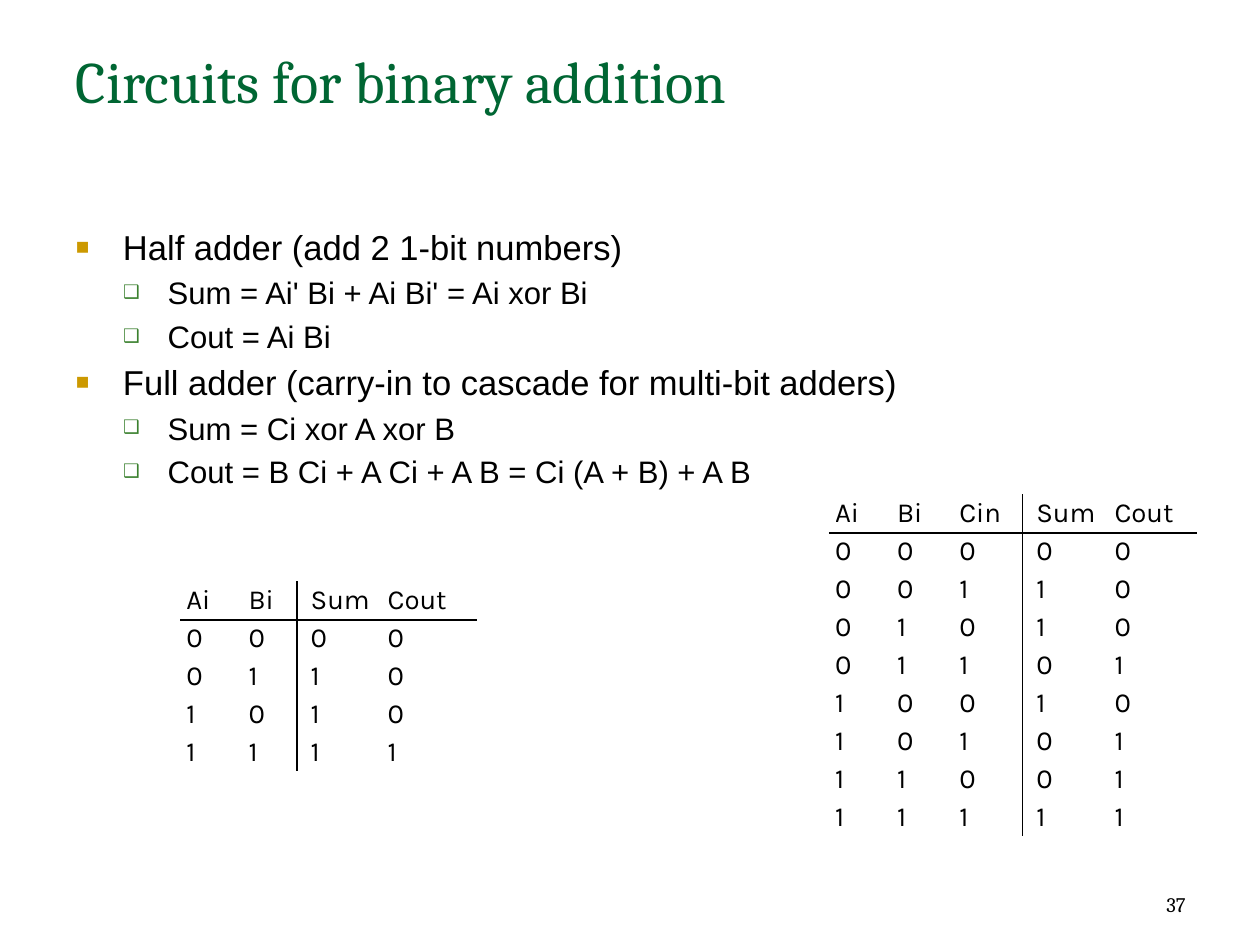
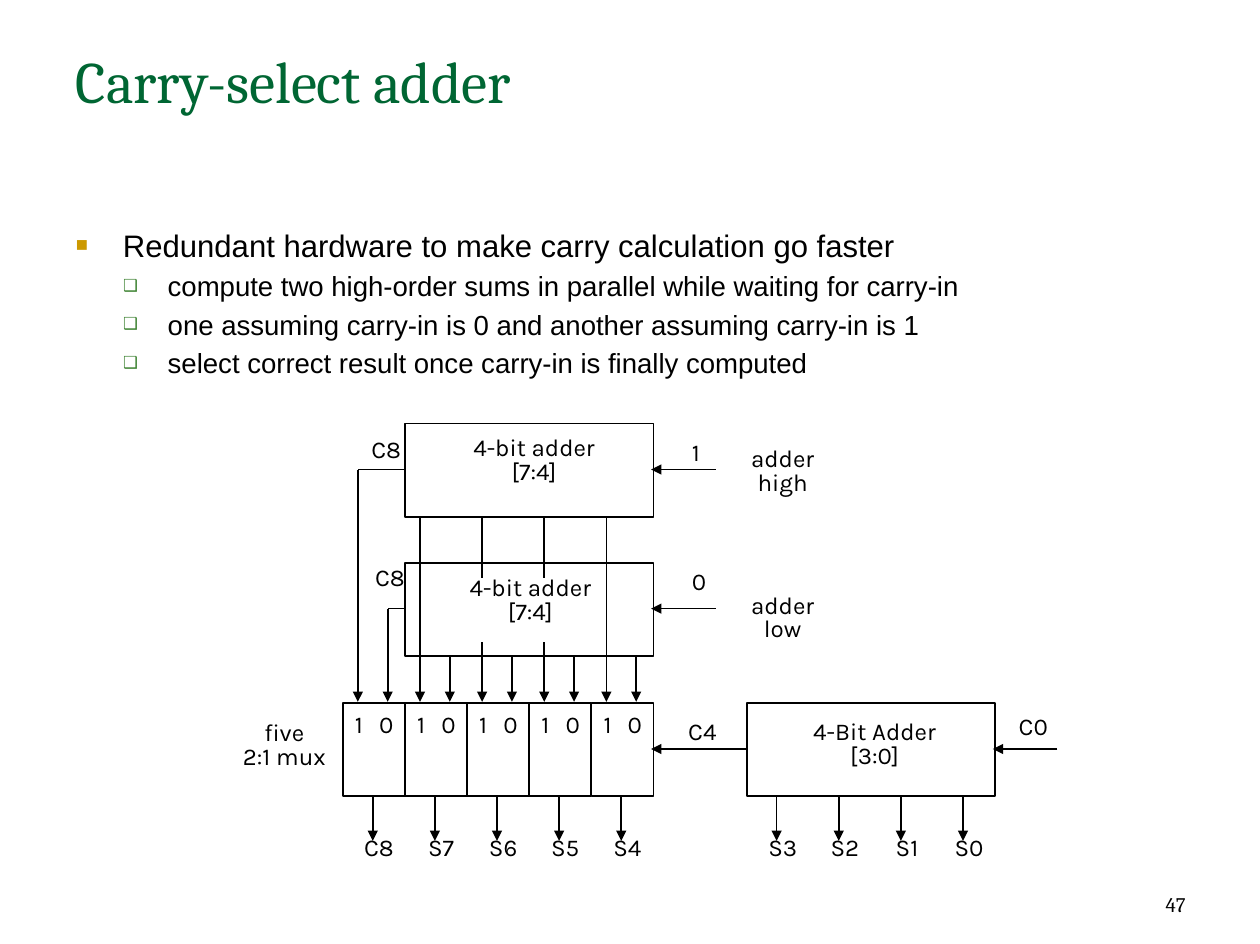
from lxml import etree
from pptx import Presentation
from pptx.dml.color import RGBColor
from pptx.enum import shapes, text
from pptx.oxml import ns
from pptx.util import Inches, Pt

BLACK, WHITE, GREEN = "000000", "FFFFFF", "006633"
HEAD, BODY, MONO = "Cambria", "Arial", "Karla"
# Per level: indent, hanging width, bullet, its colour, its size in percent
LEVELS = [(0.38, 0.38, "\u25a0", "CC9900", 65),
          (0.74, 0.36, "\u2751", "3B812F", 60)]
LEFT, MID, RIGHT = text.PP_ALIGN.LEFT, text.PP_ALIGN.CENTER, text.PP_ALIGN.RIGHT
TOP, LOW = text.MSO_ANCHOR.TOP, text.MSO_ANCHOR.BOTTOM

# Title, page number, sizes per level, list of (level, text)
ADDERS = ("Circuits for binary addition", "37", (20, 18), [
    (0, "Half adder (add 2 1-bit numbers)"),
    (1, "Sum = Ai' Bi + Ai Bi' = Ai xor Bi"),
    (1, "Cout = Ai Bi"),
    (0, "Full adder (carry-in to cascade for multi-bit adders)"),
    (1, "Sum = Ci xor A xor B"),
    (1, "Cout = B Ci + A Ci + A B = Ci (A + B) + A B")])
SELECT = ("Carry-select adder", "47", (18, 16), [
    (0, "Redundant hardware to make carry calculation go faster"),
    (1, "compute two high-order sums in parallel while waiting for carry-in"),
    (1, "one assuming carry-in is 0 and another assuming carry-in is 1"),
    (1, "select correct result once carry-in is finally computed")])

# Truth tables: left, top, column widths, inputs, rows
HALF = (1.5, 4.66, (0.5, 0.5, 0.62, 0.72), 2,
        ["Ai Bi Sum Cout", "0 0 0 0", "0 1 1 0", "1 0 1 0", "1 1 1 1"])
FULL = (6.72, 3.96, (0.5, 0.5, 0.62, 0.63, 0.66), 3,
        ["Ai Bi Cin Sum Cout", "0 0 0 0 0", "0 0 1 1 0", "0 1 0 1 0",
         "0 1 1 0 1", "1 0 0 1 0", "1 0 1 0 1", "1 1 0 0 1", "1 1 1 1 1"])
ROW = 22 / 72

# Carry-select diagram
STEP, WIDE, TALL = 0.5, 2, 0.75
MUX, CHIP, FIRST = 2.76, 3.26, 6.01
HIGH, DOWN, BASE = 3.41, 4.53, 5.66
TIP, END = 5.65, 6.77
MUXOUT = ["C8", "S7", "S6", "S5", "S4"]
SUMOUT = ["S3", "S2", "S1", "S0"]
# Left, top, width, text
NOTES = [(8.1, 5.74, 0.39, "C0"), (5.44, 5.78, 0.39, "C4"),
         (5.47, 3.53, 0.26, "1"), (5.47, 4.57, 0.26, "0"),
         (2.89, 3.51, 0.39, "C8"), (2.92, 4.54, 0.39, "C8")]
# Centre, top, text
NAMES = [(7.04, 5.78, "4-Bit Adder\n[3:0]"), (4.3, 3.49, "4-bit adder\n[7:4]"),
         (4.27, 4.62, "4-bit adder\n[7:4]"), (2.29, 5.79, "five\n2:1 mux"),
         (6.3, 4.76, "adder\nlow"), (6.3, 3.58, "adder\nhigh")]


def paint(code):
    """Turn a hex string into a colour."""
    return RGBColor.from_string(code)


def write(par, words, size, face, hue=BLACK):
    """Add words to a paragraph, one run for each line."""
    for row, line in enumerate(words.split("\n")):
        if row:
            par.add_line_break()
        run = par.add_run()
        run.text = line
        run.font.size, run.font.name = Pt(size), face
        run.font.color.rgb = paint(hue)


def place(shape, left, top, width, height):
    """Move and size a shape."""
    shape.left, shape.top = Inches(left), Inches(top)
    shape.width, shape.height = Inches(width), Inches(height)


def setup(shape, anchor=TOP, wrap=True, pads=(0.1, 0.05, 0.1, 0.05)):
    """Set the frame of a text shape and return it."""
    frame = shape.text_frame
    frame.auto_size = text.MSO_AUTO_SIZE.NONE
    frame.word_wrap, frame.vertical_anchor = wrap, anchor
    (frame.margin_left, frame.margin_top,
     frame.margin_right, frame.margin_bottom) = map(Inches, pads)
    return frame


def bullet(par, level):
    """Give a paragraph the indent and bullet of its level."""
    indent, hang, char, hue, size = LEVELS[level]
    par.level = level
    props = par._p.get_or_add_pPr()
    props.set("marL", str(Inches(indent)))
    props.set("indent", str(-Inches(hang)))
    tone = etree.SubElement(props, ns.qn("a:buClr"))
    etree.SubElement(tone, ns.qn("a:srgbClr"), val=hue)
    etree.SubElement(props, ns.qn("a:buSzPct"), val=str(size * 1000))
    etree.SubElement(props, ns.qn("a:buFont"), typeface=BODY)
    etree.SubElement(props, ns.qn("a:buChar"), char=char)


def page(deck, title, number, sizes, items):
    """Add a slide with title, list and page number."""
    slide = deck.slides.add_slide(deck.slide_layouts[1])
    head, body = slide.placeholders
    place(head, 0.51, 0.31, 9.12, 1.26)
    par = setup(head).paragraphs[0]
    par.alignment = LEFT
    write(par, title, 34, HEAD, GREEN)
    place(body, 0.51, 1.77, 9.12, 5.02)
    frame = setup(body)
    for row, (level, words) in enumerate(items):
        par = frame.add_paragraph() if row else frame.paragraphs[0]
        bullet(par, level)
        write(par, words, sizes[level], BODY)
    foot = slide.shapes.add_textbox(0, 0, 0, 0)
    place(foot, 7.27, 6.92, 2.37, 0.51)
    par = setup(foot, LOW).paragraphs[0]
    par.alignment = RIGHT
    write(par, number, 12, HEAD)
    return slide


def wire(slide, x1, y1, x2, y2, arrow=False):
    """Draw a thin line, with an arrowhead at its end if asked."""
    line = slide.shapes.add_connector(
        shapes.MSO_CONNECTOR.STRAIGHT, *map(Inches, (x1, y1, x2, y2)))
    line.line.color.rgb, line.line.width = paint(BLACK), Pt(1)
    if arrow:
        etree.SubElement(line.line._get_or_add_ln(), ns.qn("a:tailEnd"),
                         type="triangle")
    etree.SubElement(line._element.spPr, ns.qn("a:effectLst"))


def box(slide, left, top, width, height=TALL, fill=None, edge=BLACK):
    """Draw a rectangle, hollow unless a fill is given."""
    shape = slide.shapes.add_shape(
        shapes.MSO_SHAPE.RECTANGLE, *map(Inches, (left, top, width, height)))
    shape.shadow.inherit = False
    shape.line.color.rgb, shape.line.width = paint(edge), Pt(1)
    if fill:
        shape.fill.solid()
        shape.fill.fore_color.rgb = paint(fill)
    else:
        shape.fill.background()


def label(slide, left, top, width, words, align=LEFT):
    """Write a diagram label."""
    shape = slide.shapes.add_textbox(0, 0, 0, 0)
    place(shape, left, top, width, 0.53 if "\n" in words else 0.33)
    par = setup(shape, TOP, False, (0.1, 0.03, 0.02, 0.03)).paragraphs[0]
    par.alignment, par.line_spacing = align, Pt(13.9)
    write(par, words, 14, MONO)


def center(slide, mid, top, words, width=0.25):
    """Write a label centred on mid, allowing for its uneven margins."""
    label(slide, mid - width / 2 - 0.04, top, width, words, MID)


def truth(slide, left, top, widths, inputs, rows):
    """Add a truth table with its two rules."""
    height = ROW * len(rows)
    grid = slide.shapes.add_table(
        len(rows), len(widths),
        *map(Inches, (left, top, sum(widths), height))).table
    grid.first_row = grid.horz_banding = False
    for col, width in zip(grid.columns, widths):
        col.width = Inches(width)
    for line, row in zip(grid.rows, rows):
        line.height = Inches(ROW)
        for cell, words in zip(line.cells, row.split()):
            cell.fill.background()
            cell.margin_left = cell.margin_right = 0
            cell.margin_top = cell.margin_bottom = 0
            cell.vertical_anchor = LOW
            write(cell.text_frame.paragraphs[0], words, 16, MONO)
    rule, split = top + 0.33, left + sum(widths[:inputs]) - 0.11
    wire(slide, left - 0.05, rule, left + sum(widths), rule)
    wire(slide, split, top + 0.02, split, top + height + 0.02)


def circuit(slide):
    """Draw the carry-select adder."""
    for top in (HIGH, DOWN):
        box(slide, CHIP, top, WIDE)
    box(slide, FIRST, BASE, WIDE)
    for bit in range(len(SUMOUT)):
        x = CHIP + 0.12 + bit * STEP
        wire(slide, x, HIGH + TALL, x, TIP, True)
        wire(slide, x + 0.24, DOWN + TALL, x + 0.24, TIP, True)
    box(slide, 3.63, 4.66, 1.12, 0.5, WHITE, WHITE)
    for bit in range(len(MUXOUT)):
        x = MUX + bit * STEP
        box(slide, x, BASE, STEP)
        center(slide, x + 0.13, 5.72, "1")
        center(slide, x + 0.35, 5.72, "0")
    for start, outs in ((MUX, MUXOUT), (FIRST, SUMOUT)):
        for bit, words in enumerate(outs):
            x = start + 0.24 + bit * STEP
            wire(slide, x, BASE + TALL, x, END, True)
            center(slide, x + 0.05, 6.71, words, 0.69)
    for top, x in ((HIGH, 2.88), (DOWN, 3.12)):
        y = top + 0.37
        wire(slide, CHIP, y, x, y)
        wire(slide, x, y, x, TIP, True)
        wire(slide, 5.76, y, 5.24, y, True)
    wire(slide, FIRST, 6.03, 5.24, 6.03, True)
    wire(slide, 8.51, 6.03, 7.99, 6.03, True)
    for note in NOTES:
        label(slide, *note)
    for mid, top, words in NAMES:
        center(slide, mid, top, words, 1.07)


deck = Presentation()
deck.slide_width, deck.slide_height = Inches(10.14), Inches(7.6)
tables = page(deck, *ADDERS)
truth(tables, *HALF)
truth(tables, *FULL)
circuit(page(deck, *SELECT))
deck.save("out.pptx")
